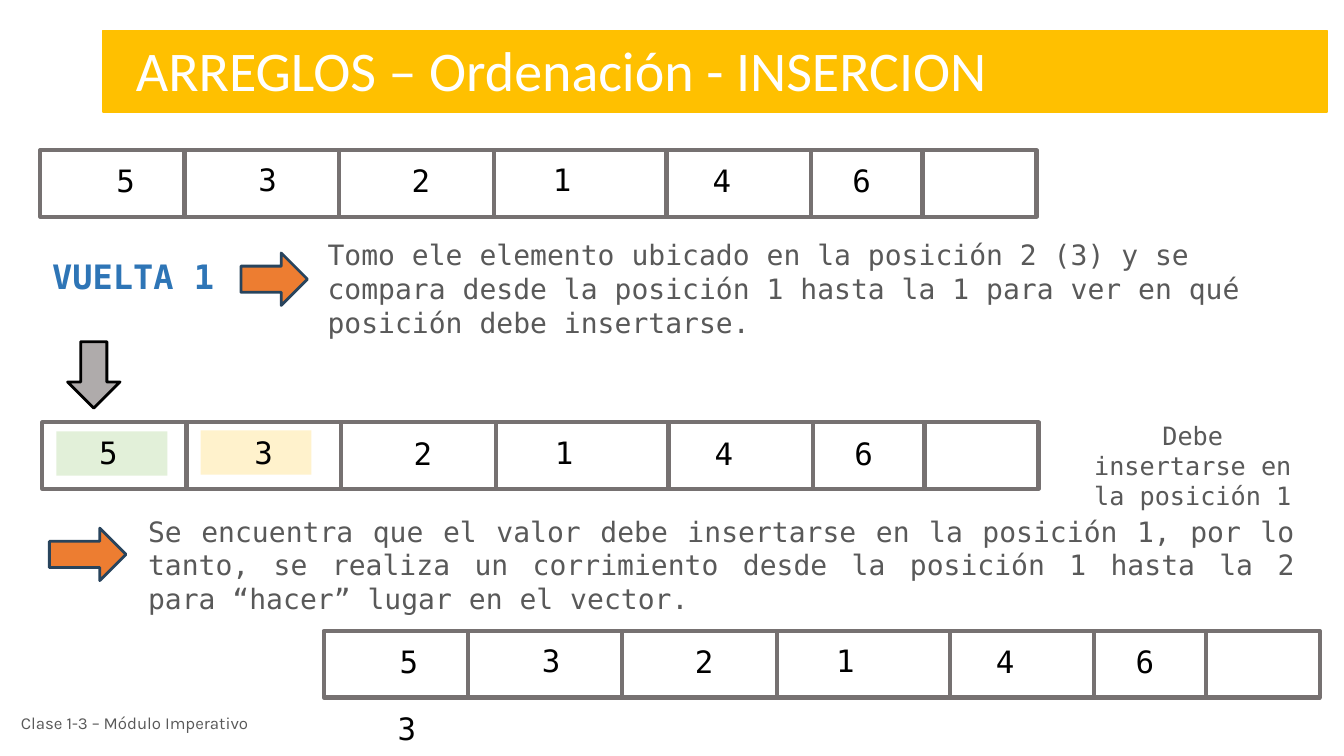
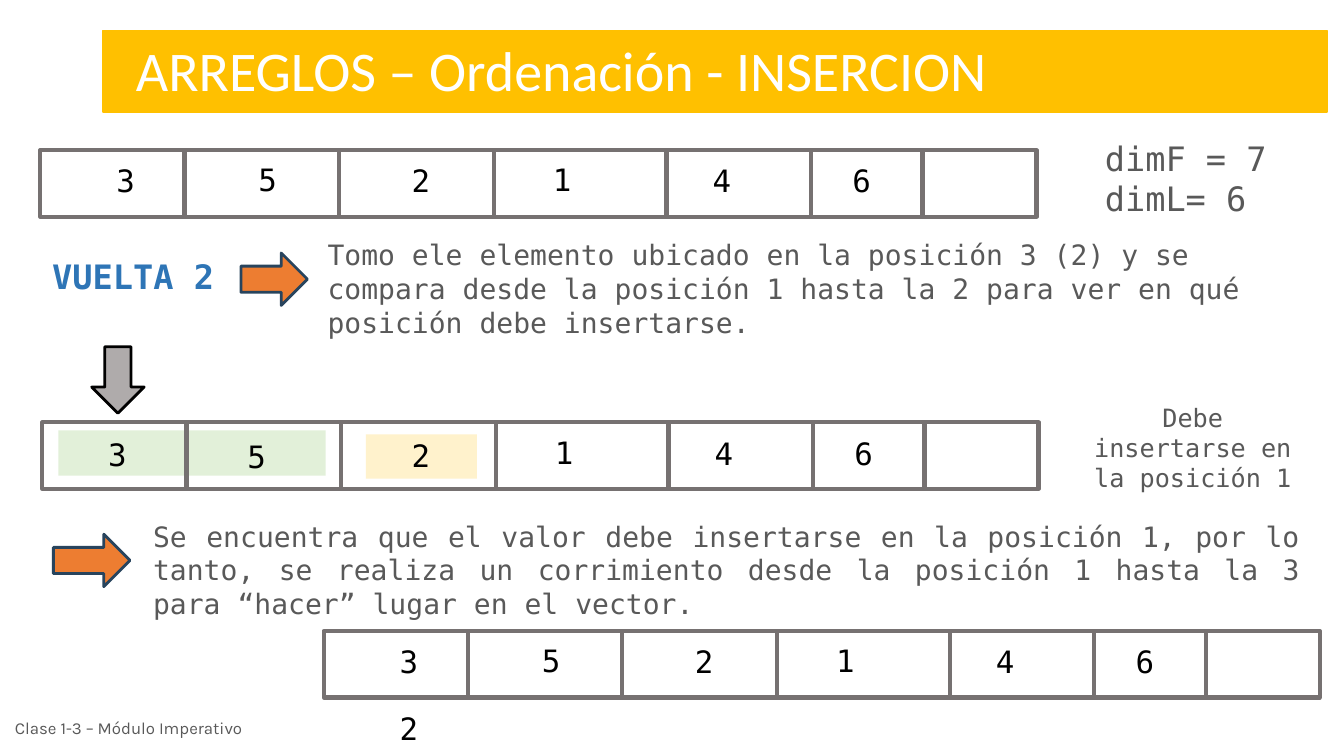
"""Build two slides that trace the first rounds of insertion sort on an array."""
from dataclasses import dataclass, field
from typing import NamedTuple

from lxml import etree
from pptx import Presentation
from pptx import util as u
from pptx.dml.color import RGBColor
from pptx.enum import shapes, text
from pptx.oxml import ns

EMU_PER_PX = 9144


class Point(NamedTuple):
    left: int
    top: int


class Box(NamedTuple):
    left: int
    top: int
    width: int
    height: int


class TextStyle(NamedTuple):
    size: int
    color: str
    font: str = "DejaVu Sans Mono"
    bold: bool = False
    align: text.PP_ALIGN = text.PP_ALIGN.LEFT


class ShapeStyle(NamedTuple):
    fill: str | None = None
    line: str | None = None
    weight: int = 0


class Cell(NamedTuple):
    offset: Point
    width: int


class Highlight(NamedTuple):
    box: Box
    style: ShapeStyle


@dataclass(frozen=True)
class Theme:
    title: TextStyle = TextStyle(40, "FFFFFF", "Calibri")
    round: TextStyle = TextStyle(24, "2E75B6", bold=True)
    sizes: TextStyle = TextStyle(24, "595959")
    step: TextStyle = TextStyle(20, "595959")
    shift: TextStyle = TextStyle(20, "595959", align=text.PP_ALIGN.JUSTIFY)
    remark: TextStyle = TextStyle(18, "595959", align=text.PP_ALIGN.CENTER)
    value: TextStyle = TextStyle(22, "000000", align=text.PP_ALIGN.CENTER)
    footer: TextStyle = TextStyle(12, "595959", "Karla")
    band: ShapeStyle = ShapeStyle("FFC000", "FFC000", 1)
    row: ShapeStyle = ShapeStyle(None, "767171", 3)
    step_arrow: ShapeStyle = ShapeStyle("ED7D31", "28445D", 2)
    pointer: ShapeStyle = ShapeStyle("AFABAB", "000000", 2)
    sorted: ShapeStyle = ShapeStyle("E2F0D9")
    current: ShapeStyle = ShapeStyle("FFF2CC")


THEME = Theme()
ROW_WIDTH, ROW_HEIGHT, VALUE_HEIGHT = 988, 66, 47
DIVIDERS = [Point(143, 0), Point(296, 0), Point(450, 0),
            Point(621, 0), Point(764, 2), Point(875, 2)]
CELLS = [Cell(Point(27, 7), 115), Cell(Point(168, 6), 115),
         Cell(Point(319, 7), 117), Cell(Point(458, 6), 119),
         Cell(Point(638, 7), 76), Cell(Point(773, 7), 83)]


@dataclass(frozen=True)
class Round:
    number: int
    values: str
    highlights: list[Highlight]
    moved: dict[int, Point]
    pointer: Point
    remark_top: int
    shift_arrow: Point
    shift_text: Point
    carried: Point
    footer: Point
    sizes: list[str] = field(default_factory=list)

    @property
    def value(self) -> str:
        """Return the value that this round inserts."""
        return self.values[self.number]


ROUNDS = [
    Round(1, "532146",
          [Highlight(Box(199, 427, 110, 44), THEME.current),
           Highlight(Box(56, 428, 110, 44), THEME.sorted)],
          {0: Point(50, 425), 1: Point(204, 425)},
          pointer=Point(67, 339), remark_top=412,
          shift_arrow=Point(61, 512), shift_text=Point(137, 505),
          carried=Point(346, 699), footer=Point(11, 693)),
    Round(2, "352146",
          [Highlight(Box(363, 431, 110, 44), THEME.current),
           Highlight(Box(58, 427, 265, 45), THEME.sorted)],
          {0: Point(59, 427), 1: Point(197, 429), 2: Point(359, 428)},
          pointer=Point(91, 344), remark_top=394,
          shift_arrow=Point(65, 518), shift_text=Point(142, 510),
          carried=Point(348, 699), footer=Point(5, 698),
          sizes=["dimF = 7", "dimL= 6"]),
]


def px(length: int) -> u.Emu:
    """Convert a length in px to EMU."""
    return u.Emu(length * EMU_PER_PX)


def apply_format(target, values: dict) -> None:
    """Set each named attribute on the target."""
    for name, value in values.items():
        setattr(target, name, value)


def add_figure(slide, kind, box: Box, style: ShapeStyle, rotation: int = 0) -> None:
    """Add a preset shape with the given fill and outline."""
    shape = slide.shapes.add_shape(kind, *map(px, box))
    shape.shadow.inherit = False
    shape.rotation = rotation
    if style.fill:
        shape.fill.solid()
        shape.fill.fore_color.rgb = RGBColor.from_string(style.fill)
    else:
        shape.fill.background()
    if style.line:
        shape.line.color.rgb = RGBColor.from_string(style.line)
        shape.line.width = u.Pt(style.weight)
    else:
        shape.line.fill.background()


def add_text(slide, box: Box, lines: list[str], style: TextStyle,
             anchor=text.MSO_ANCHOR.TOP,
             fit=text.MSO_AUTO_SIZE.SHAPE_TO_FIT_TEXT) -> None:
    """Add a wrapped text box with one paragraph per line."""
    frame = slide.shapes.add_textbox(*map(px, box)).text_frame
    apply_format(frame, {
        "word_wrap": True, "auto_size": fit, "vertical_anchor": anchor,
        "margin_left": px(10), "margin_right": px(10),
        "margin_top": px(5), "margin_bottom": px(5)})
    for index, line in enumerate(lines):
        paragraph = frame.add_paragraph() if index else frame.paragraphs[0]
        paragraph.alignment = style.align
        run = paragraph.add_run()
        run.text = line
        apply_format(run.font, {
            "name": style.font, "size": u.Pt(style.size), "bold": style.bold})
        run.font.color.rgb = RGBColor.from_string(style.color)


def add_divider(slide, start: Point) -> None:
    """Add a vertical line between two cells of an array row."""
    left, top = map(px, start)
    line = slide.shapes.add_connector(
        shapes.MSO_CONNECTOR.STRAIGHT, left, top, left, top + px(ROW_HEIGHT))
    line.line.color.rgb = RGBColor.from_string(THEME.row.line)
    line.line.width = u.Pt(THEME.row.weight)
    etree.SubElement(line._element.spPr, ns.qn("a:effectLst"))


def add_array(slide, origin: Point, values: str,
              moved: dict[int, Point] | None = None) -> None:
    """Add an array row, placing the moved values at their own points."""
    add_figure(slide, shapes.MSO_SHAPE.RECTANGLE,
               Box(*origin, ROW_WIDTH, ROW_HEIGHT), THEME.row)
    for divider in DIVIDERS:
        add_divider(slide, Point(origin.left + divider.left, origin.top + divider.top))
    for index, (cell, value) in enumerate(zip(CELLS, values)):
        place = Point(origin.left + cell.offset.left, origin.top + cell.offset.top)
        place = (moved or {}).get(index, place)
        add_text(slide, Box(*place, cell.width, VALUE_HEIGHT), [value], THEME.value)


def add_arrow(slide, origin: Point, length: int, style: ShapeStyle,
              rotation: int = 0) -> None:
    """Add a block arrow that points down before rotation."""
    add_figure(slide, shapes.MSO_SHAPE.DOWN_ARROW,
               Box(*origin, 52, length), style, rotation)


def add_frame(slide, footer: Point) -> None:
    """Add the title band and the footer."""
    add_figure(slide, shapes.MSO_SHAPE.RECTANGLE, Box(102, 30, 1214, 81), THEME.band)
    add_text(slide, Box(125, 30, 935, 77),
             ["ARREGLOS – Ordenación - INSERCION"], THEME.title)
    add_text(slide, Box(*footer, 316, 48), ["Clase 1-3 – Módulo Imperativo"],
             THEME.footer, text.MSO_ANCHOR.MIDDLE, text.MSO_AUTO_SIZE.NONE)


def add_round(presentation, item: Round) -> None:
    """Add the slide of one sorting round."""
    slide = presentation.slides.add_slide(presentation.slide_layouts[6])
    position = item.number + 1
    add_frame(slide, item.footer)
    add_array(slide, Point(40, 149), item.values)
    if item.sizes:
        add_text(slide, Box(1086, 132, 230, 91), item.sizes, THEME.sizes)

    add_text(slide, Box(42, 249, 230, 50), [f"VUELTA {item.number}"], THEME.round)
    add_arrow(slide, Point(246, 244), 66, THEME.step_arrow, 270)
    add_text(slide, Box(315, 231, 1002, 111), [
        f"Tomo ele elemento ubicado en la posición {position} ({item.value}) y se "
        f"compara desde la posición 1 hasta la {item.number} para ver en qué "
        "posición debe insertarse."], THEME.step)

    add_arrow(slide, item.pointer, 66, THEME.pointer)
    for highlight in item.highlights:
        add_figure(slide, shapes.MSO_SHAPE.RECTANGLE, highlight.box, highlight.style)
    add_array(slide, Point(42, 419), item.values, item.moved)
    add_text(slide, Box(1068, item.remark_top, 230, 101),
             ["Debe insertarse en la posición 1"], THEME.remark)

    add_arrow(slide, item.shift_arrow, 76, THEME.step_arrow, 270)
    add_text(slide, Box(*item.shift_text, 1157, 111), [
        "Se encuentra que el valor debe insertarse en la posición 1, por lo tanto, "
        f"se realiza un corrimiento desde la posición 1 hasta la {position} para "
        "“hacer” lugar en el vector."], THEME.shift)
    add_array(slide, Point(321, 626), item.values)
    add_text(slide, Box(*item.carried, 115, VALUE_HEIGHT), [item.value], THEME.value)


def main() -> None:
    """Build and save the presentation."""
    presentation = Presentation()
    apply_format(presentation, {"slide_width": px(1333), "slide_height": px(750)})
    for item in ROUNDS:
        add_round(presentation, item)
    presentation.save("out.pptx")


if __name__ == "__main__":
    main()
